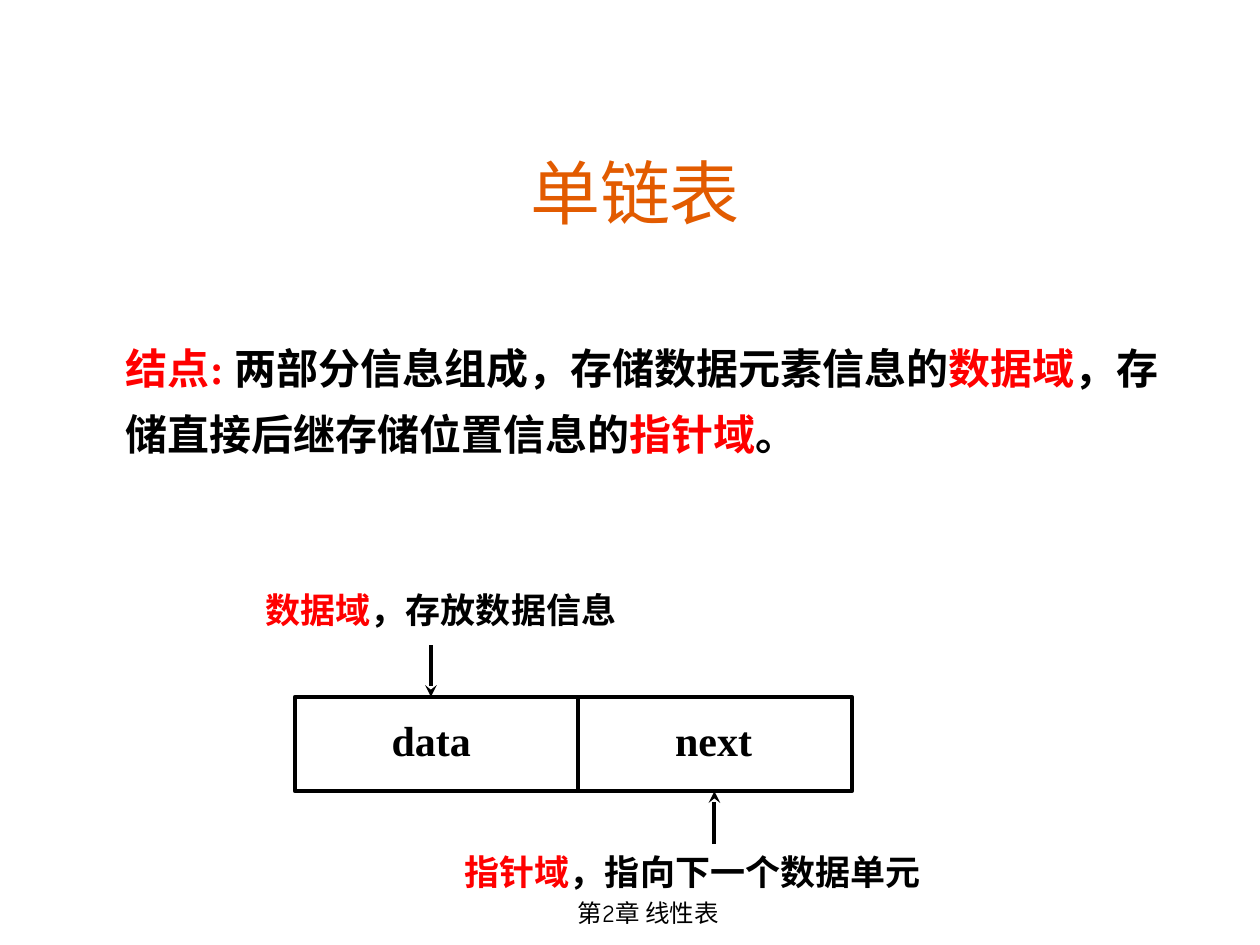
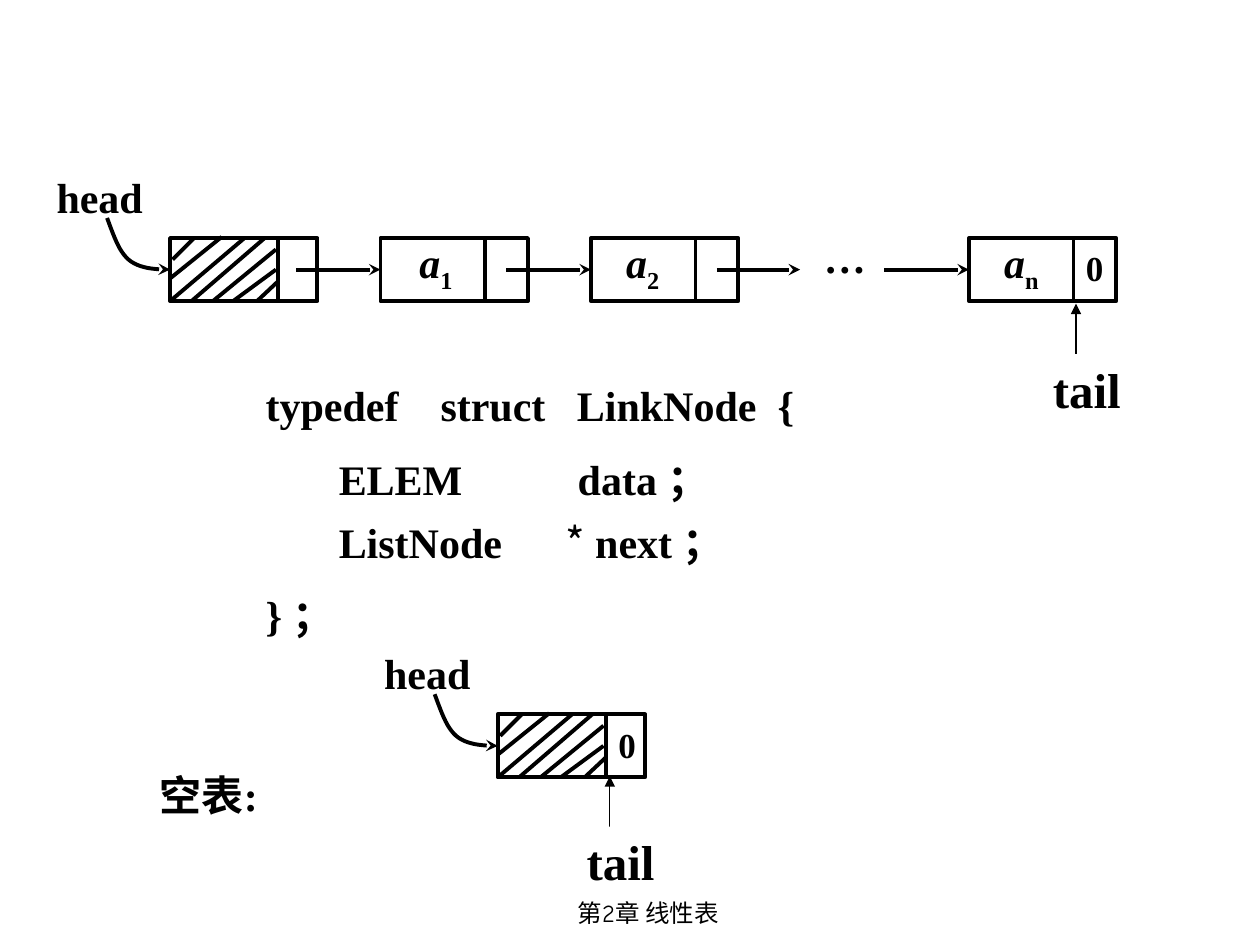
from pptx import Presentation
from pptx.dml.color import RGBColor
from pptx.enum.shapes import MSO_CONNECTOR as LINK, MSO_SHAPE as SHAPE
from pptx.enum.text import MSO_ANCHOR as ANCHOR, PP_ALIGN as ALIGN
from pptx.oxml.ns import qn
from pptx.util import Inches, Pt
from lxml.etree import SubElement

BLACK = RGBColor(0, 0, 0)
RED = RGBColor(0xFF, 0, 0)
ORANGE = RGBColor(0xE2, 0x5B, 0)
WHITE = RGBColor(0xFF, 0xFF, 0xFF)
SERIF, COMIC, HAN = "Times New Roman", "Comic Neue", "Noto Sans CJK SC"
THICK, THIN = 2.25, 0.75
NODE_W, NODE_H = 1.17, 0.5
HATCH = (
    (0.19, 0, 0.02, 0.17), (0.41, -0.01, 0, 0.32), (0.75, 0, 0.17, 0.5),
    (0.84, 0.25, 0.5, 0.5), (0.59, 0, 0, 0.5), (0.84, 0.09, 0.34, 0.5),
    (0.86, 0.34, 0.69, 0.5),
)
HOOK = (
    ((-0.5, -0.16), (-0.45, -0.03), (-0.41, 0.1), (-0.33, 0.17)),
    ((-0.33, 0.17), (-0.25, 0.24), (-0.12, 0.25), (0, 0.25)),
)


def style(para, size, face=SERIF, color=BLACK, bold=True):
    """Set the Latin and East Asian fonts of a paragraph."""
    font = para.font
    font.size, font.name, font.bold = Pt(size), face, bold
    font.color.rgb = color
    base = para._p.get_or_add_pPr().get_or_add_defRPr()
    SubElement(base, qn("a:ea")).set("typeface", HAN)


def write(frame, parts, size, face=SERIF, color=BLACK, bold=True, align=None):
    """Fill a frame with one paragraph of (text, colour) parts."""
    para = frame.paragraphs[0]
    para.alignment = align
    style(para, size, face, color, bold)
    for text, tint in parts:
        run = para.add_run()
        run.text = text
        if tint is not None:
            run.font.color.rgb = tint
    return para


def label(slide, x, y, w, h, parts, size=24, **look):
    """Add a wrapping text box and return its paragraph."""
    frame = slide.shapes.add_textbox(*map(Inches, (x, y, w, h))).text_frame
    frame.word_wrap = True
    if isinstance(parts, str):
        parts = [(parts, None)]
    return write(frame, parts, size, **look)


def ink(shape, width, head=None):
    """Give a shape a black line with an optional arrowhead."""
    shape.line.color.rgb = BLACK
    shape.line.width = Pt(width)
    if head:
        ln = shape._element.spPr.find(qn("a:ln"))
        SubElement(ln, qn("a:tailEnd")).set("type", head)


def line(slide, x1, y1, x2, y2, width=THICK, head=None):
    """Draw a straight line or arrow."""
    wire = slide.shapes.add_connector(
        LINK.STRAIGHT, *map(Inches, (x1, y1, x2, y2)))
    ink(wire, width, head)
    SubElement(wire._element.spPr, qn("a:effectLst"))
    return wire


def frame_box(slide, x, y, w, h, cut):
    """Draw an outlined box split by a line at the given offset."""
    box = slide.shapes.add_shape(
        SHAPE.RECTANGLE, *map(Inches, (x, y, w, h)))
    box.shadow.inherit = False
    box.fill.background()
    ink(box, THICK)
    line(slide, x + cut, y, x + cut, y + h)
    return box


def footer(slide):
    """Add the shared chapter line."""
    label(slide, 3.56, 7.08, 3.17, 0.5, "第2章 线性表", 14,
          face=COMIC, bold=False, align=ALIGN.CENTER)


def heading(slide, x, y, w, h, text):
    """Place and format the title placeholder."""
    title = slide.shapes.title
    title.left, title.top, title.width, title.height = map(
        Inches, (x, y, w, h))
    frame = title.text_frame
    frame.vertical_anchor = ANCHOR.BOTTOM
    write(frame, [(text, None)], 40, COMIC, ORANGE, False, ALIGN.CENTER)


def anatomy(slide, x, y, w=4.42, h=0.75):
    """Draw the two fields of a node with their notes."""
    frame_box(slide, x, y, w, h, 2.25)
    label(slide, x + 0.67, y + 0.09, 2.08, 0.5, "data")
    label(slide, x + 2.92, y + 0.09, 2.08, 0.5, "next")
    label(slide, x - 0.33, y - 0.91, 4.83, 0.44,
          [("数据域", RED), ("，存放数据信息", None)], 20)
    line(slide, x + 1.08, y - 0.41, x + 1.08, y, head="stealth")
    label(slide, x + 1.25, y + 1.17, 4.08, 0.44,
          [("指针域", RED), ("，指向下一个数据单元", None)], 20)
    line(slide, x + 3.33, y + h + 0.42, x + 3.33, y + h, head="stealth")


def node(slide, x, y, cut=0.83, zero=False):
    """Draw a list node, with a null link if asked."""
    box = frame_box(slide, x, y, NODE_W, NODE_H, cut)
    if zero:
        label(slide, x + cut, y + 0.02, 0.67, 0.44, "0", 20)
    return box


def item(slide, x, y, index):
    """Write an italic a with its subscript."""
    para = label(slide, x, y, 0.75, 0.56, [("a", None), (index, None)])
    name, sub = para.runs
    name.font.italic = True
    sub._r.get_or_add_rPr().set("baseline", "-25000")


def hook(slide, x, y):
    """Draw the curved arrow that ends on a node's left side."""
    dots = []
    for a, b, c, d in HOOK:
        for step in range(1, 13):
            t = step / 12
            s = 1 - t
            dots.append(tuple(
                Inches(o + s**3 * p + 3 * s * s * t * q
                       + 3 * s * t * t * r + t**3 * e)
                for o, p, q, r, e in zip((x, y), a, b, c, d)))
    start = HOOK[0][0]
    pen = slide.shapes.build_freeform(
        Inches(x + start[0]), Inches(y + start[1]))
    pen.add_line_segments(dots, close=False)
    curve = pen.convert_to_shape()
    curve.shadow.inherit = False
    curve.fill.background()
    ink(curve, THICK, "stealth")


def head_node(slide, x, y, zero=False):
    """Draw the hatched head node with its pointer."""
    label(slide, x - 1, y - 0.58, 1.08, 0.5, "head")
    hook(slide, x, y)
    node(slide, x, y, 0.86, zero)
    for x1, y1, x2, y2 in HATCH:
        line(slide, x + x1, y + y1, x + x2, y + y2)


def tail(slide, x, y):
    """Draw the tail pointer with its tip at the given point."""
    line(slide, x, y + 0.48, x, y, THIN, "triangle")
    tag = slide.shapes.add_shape(
        SHAPE.RECTANGLE, *map(Inches, (x - 0.31, y + 0.4, 0.79, 0.55)))
    tag.shadow.inherit = False
    tag.fill.solid()
    tag.fill.fore_color.rgb = WHITE
    tag.line.fill.background()
    frame = tag.text_frame
    frame.word_wrap = False
    frame.vertical_anchor = ANCHOR.MIDDLE
    write(frame, [("tail", None)], 28, align=ALIGN.CENTER)


def chain(slide, x, y):
    """Draw the linked list from head to tail."""
    head_node(slide, x, y)
    mid = y + NODE_H / 2
    for dx, gap, index in ((1.67, 0.21, "1"), (3.34, 0.18, "2"),
                           (6.34, 0.18, "n")):
        left = x + dx
        box = node(slide, left, y, zero=index == "n")
        item(slide, left + gap, y - 0.06, index)
        wire = line(slide, left - 0.67, mid, left, mid, head="stealth")
        wire.end_connect(box, 1)
    line(slide, x + 4.34, mid, x + 5, mid, head="stealth")
    label(slide, x + 5.09, y - 0.1, 0.83, 0.5, "…")
    tail(slide, x + 7.19, y + 0.52)


def code(slide, x, y):
    """Write the node type declaration."""
    star = None
    for dx, dy, parts in (
        (0, 0, ["typedef    struct   LinkNode  {"]),
        (0.58, 0.59, ["ELEM           data ；"]),
        (0.58, 1.09, ["ListNode      ", "*", " next ；"]),
        (0, 1.67, ["} ；"]),
    ):
        para = label(slide, x + dx, y + dy, 5.92, 0.5,
                     [(part, None) for part in parts])
        if len(parts) > 1:
            star = para.runs[1].font
    star.name, star.bold = HAN, False


def node_slide(deck):
    """Build the slide on the parts of a node."""
    slide = deck.slides.add_slide(deck.slide_layouts[5])
    heading(slide, 0.75, 1.07, 8.58, 0.83, "单链表")
    para = label(slide, 0.9, 2.55, 8.42, 1.14, [
        ("结点: ", RED), ("两部分信息组成，存储数据元素信息的", None),
        ("数据域", RED), ("，存储直接后继存储位置信息的", None),
        ("指针域", RED), ("。", None)])
    para.line_spacing = 1.3
    anatomy(slide, 2.34, 5.53)
    footer(slide)


def list_slide(deck):
    """Build the slide on full and empty lists."""
    slide = deck.slides.add_slide(deck.slide_layouts[6])
    chain(slide, 1.35, 1.89)
    code(slide, 2.01, 2.96)
    label(slide, 1.17, 6.06, 1.5, 0.5, "空表:")
    head_node(slide, 3.95, 5.67, zero=True)
    tail(slide, 4.84, 6.16)
    footer(slide)


def main():
    """Build and save the deck."""
    deck = Presentation()
    deck.slide_width, deck.slide_height = Inches(10), Inches(7.5)
    node_slide(deck)
    list_slide(deck)
    deck.save("out.pptx")


if __name__ == "__main__":
    main()
